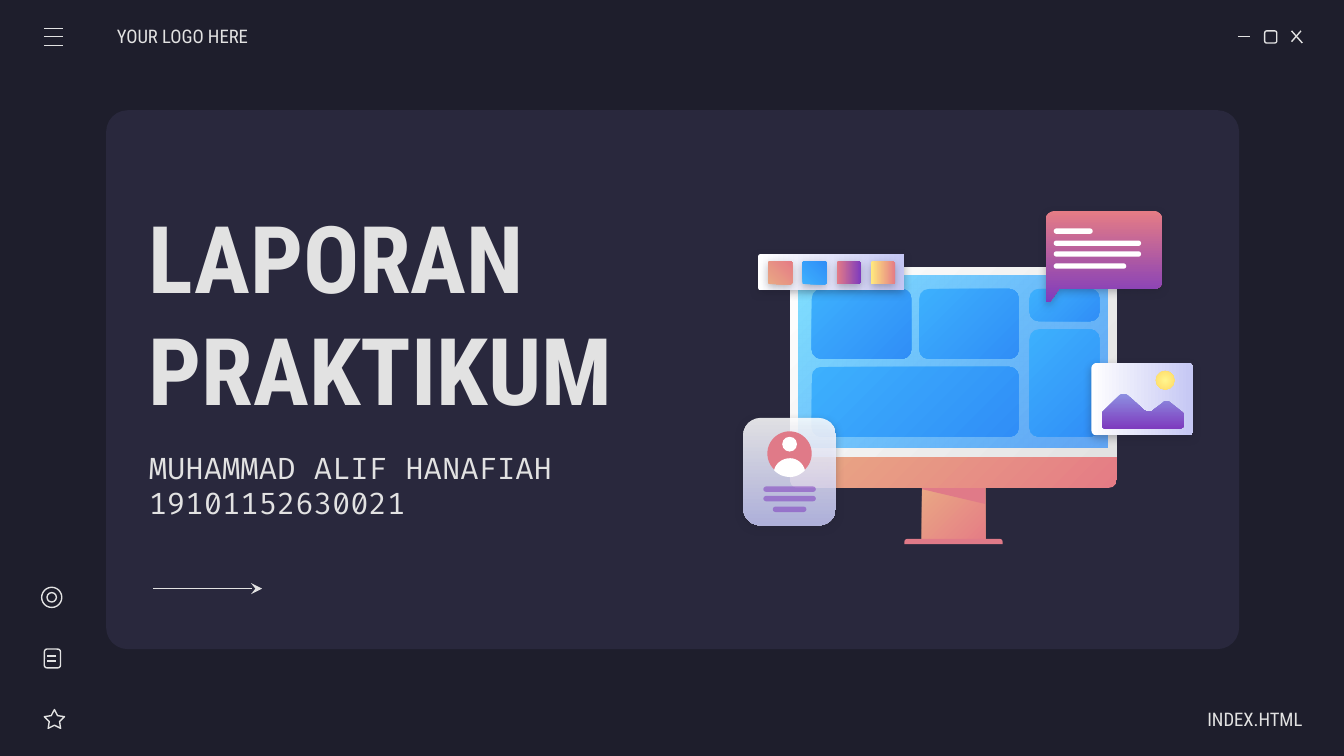
from lxml.etree import SubElement
from pptx import Presentation
from pptx.dml.color import RGBColor
from pptx.enum.shapes import MSO_CONNECTOR as Connector, MSO_SHAPE as Preset
from pptx.enum.text import MSO_ANCHOR as Anchor, PP_ALIGN as Align
from pptx.oxml import parse_xml
from pptx.oxml.ns import nsdecls, qn
from pptx.util import Inches, Pt

DARK, CARD, LIGHT, WHITE = "1E1E2C", "29283D", "E2E2E2", "FFFFFF"
ROSE, PURPLE = "E07A88", "7E3BBE"
PEACH = ("E9A984", "E57C85")
BLUE = ("3DB0FD", "308EF7")
SUNSET = ("E57C85", PURPLE)
PAPER = (WHITE, "C5C7F4")


def color(value):
    return RGBColor.from_string(value)


def gradient(colors, angle=None, alphas=(100, 100)):
    """Two-stop gradient fill: linear, or radial when there is no angle."""
    stops = "".join(
        f'<a:gs pos="{position}"><a:srgbClr val="{value}"><a:alpha val="{alpha * 1000}"/></a:srgbClr></a:gs>'
        for position, value, alpha in zip((0, 100000), colors, alphas))
    if angle is None:
        way = '<a:path path="circle"><a:fillToRect l="50000" t="50000" r="50000" b="50000"/></a:path>'
    else:
        way = f'<a:lin ang="{angle * 60000}" scaled="0"/>'
    return f'<a:gradFill rotWithShape="1" {nsdecls("a")}><a:gsLst>{stops}</a:gsLst>{way}</a:gradFill>'


def bezier(start, segment, steps=8):
    x1, y1, x2, y2, x3, y3 = segment
    for step in range(1, steps + 1):
        t = step / steps
        weights = ((1 - t) ** 3, 3 * t * (1 - t) ** 2, 3 * t * t * (1 - t), t ** 3)
        yield (sum(w * x for w, x in zip(weights, (start[0], x1, x2, x3))),
               sum(w * y for w, y in zip(weights, (start[1], y1, y2, y3))))


class Painter:
    line_width = Pt(0.75)

    def __init__(self, slide):
        self.slide = slide
        self.shapes = slide.shapes

    def finish(self, shape, fill=None, line=None, shadow=False, alpha=100):
        properties = shape._element.spPr
        if fill and not fill.startswith("<"):
            shape.fill.solid()
            shape.fill.fore_color.rgb = color(fill)
            if alpha < 100:
                target = properties.find(qn("a:solidFill"))[0]
                SubElement(target, qn("a:alpha")).set("val", str(alpha * 1000))
        else:
            shape.fill.background()
            if fill:
                properties.replace(properties.find(qn("a:noFill")), parse_xml(fill))
        if line:
            shape.line.color.rgb = color(line)
            shape.line.width = self.line_width
        else:
            shape.line.fill.background()
        shape.shadow.inherit = False
        if shadow:
            properties.find(qn("a:effectLst")).append(parse_xml(
                f'<a:outerShdw {nsdecls("a")} blurRad="57150" dist="19050" dir="5400000" algn="bl" rotWithShape="0">'
                f'<a:srgbClr val="{DARK}"><a:alpha val="30000"/></a:srgbClr></a:outerShdw>'))
        return shape

    def preset(self, kind, left, top, width, height, adjust=None, rotation=0, **style):
        shape = self.shapes.add_shape(kind, *map(Inches, (left, top, width, height)))
        if adjust is not None:
            shape.adjustments[0] = adjust
        shape.rotation = rotation
        return self.finish(shape, **style)

    def rounded(self, left, top, width, height, adjust, **style):
        return self.preset(Preset.ROUNDED_RECTANGLE, left, top, width, height, adjust, **style)

    def outline(self, start, segments, **style):
        """Closed outline: pairs are corners, six numbers are a cubic curve."""
        points = [start]
        for segment in segments:
            points.extend([segment] if len(segment) == 2 else bezier(points[-1], segment))
        points = [(Inches(x), Inches(y)) for x, y in points]
        builder = self.shapes.build_freeform(*points[0])
        builder.add_line_segments(points[1:], close=True)
        return self.finish(builder.convert_to_shape(), **style)

    def line(self, x1, y1, x2, y2, arrow=False):
        connector = self.shapes.add_connector(Connector.STRAIGHT, *map(Inches, (x1, y1, x2, y2)))
        connector.line.color.rgb = color(LIGHT)
        connector.line.width = self.line_width
        if arrow:
            SubElement(connector.line._get_or_add_ln(), qn("a:tailEnd")).set("type", "stealth")
        SubElement(connector._element.spPr, qn("a:effectLst"))

    def text(self, left, top, width, height, words, size, font, bold=False,
             align=Align.LEFT, inset_left=0.1, inset_right=0.1):
        frame = self.shapes.add_textbox(*map(Inches, (left, top, width, height))).text_frame
        frame.word_wrap = True
        frame.vertical_anchor = Anchor.MIDDLE
        frame.margin_left, frame.margin_right = Inches(inset_left), Inches(inset_right)
        frame.margin_top = frame.margin_bottom = Inches(0.1)
        frame.text = words
        for paragraph in frame.paragraphs:
            paragraph.alignment = align
            for run in paragraph.runs:
                run.font.name, run.font.size, run.font.bold = font, Pt(size), bold
                run.font.color.rgb = color(LIGHT)


def draw_window(painter):
    painter.rounded(0.79, 0.82, 8.43, 4.01, 0.04, fill=CARD)
    # Window buttons
    painter.line(9.21, 0.27, 9.3, 0.27)
    painter.rounded(9.41, 0.23, 0.09, 0.09, 0.167, line=LIGHT)
    painter.line(9.61, 0.23, 9.69, 0.32)
    painter.line(9.68, 0.23, 9.61, 0.31)
    # Menu icon
    for y in (0.21, 0.27, 0.34):
        painter.line(0.33, y, 0.47, y)
    # Side icons
    painter.preset(Preset.STAR_5_POINT, 0.33, 5.28, 0.15, 0.14, 0.254, line=LIGHT)
    painter.rounded(0.33, 4.83, 0.12, 0.14, 0.167, line=LIGHT)
    for y in (4.88, 4.92):
        painter.line(0.35, y, 0.42, y)
    painter.preset(Preset.OVAL, 0.31, 4.37, 0.15, 0.15, line=LIGHT)
    painter.preset(Preset.OVAL, 0.35, 4.41, 0.07, 0.07, line=LIGHT)


def draw_texts(painter):
    condensed = "Roboto Condensed"
    painter.text(1.01, 3.38, 3.24, 0.46, "MUHAMMAD ALIF HANAFIAH\n19101152630021", 16, "Fira Code")
    painter.text(0.87, 0.12, 1.17, 0.3, "YOUR LOGO HERE", 10, condensed, inset_left=0)
    painter.text(1.01, 1.44, 4.47, 1.76, "LAPORAN PRAKTIKUM", 50, condensed, bold=True)
    painter.text(8.52, 5.2, 1.17, 0.3, "INDEX.HTML", 10, condensed, align=Align.RIGHT, inset_right=0)
    painter.line(1.14, 4.38, 1.95, 4.38, arrow=True)


def draw_monitor(painter):
    # Stand, chin, frame and screen
    top_rounded = Preset.ROUND_2_SAME_RECTANGLE
    painter.preset(Preset.RECTANGLE, 6.86, 3.61, 0.47, 0.43, fill=gradient(PEACH, 45))
    painter.preset(top_rounded, 6.73, 4.01, 0.73, 0.04, 0.5, fill=ROSE)
    painter.outline((6.86, 3.61), [(6.86, 3.64), (7.33, 3.75), (7.33, 3.61)], fill=ROSE)
    painter.preset(top_rounded, 5.88, 3.39, 2.43, 0.24, 0.25, rotation=180, fill=gradient(PEACH[::-1], 45))
    painter.preset(top_rounded, 5.88, 1.99, 2.43, 1.41, 0.04, fill=gradient((WHITE, LIGHT), 45))
    painter.preset(Preset.RECTANGLE, 5.94, 2.05, 2.3, 1.28,
                   fill=gradient(("80DFFF", "318FFA"), 45, (100, 72)))
    # Screen tiles, all with the same corner radius
    for left, top, width, height in ((6.04, 2.15, 0.74, 0.52), (6.04, 2.73, 1.54, 0.52),
                                     (6.84, 2.15, 0.74, 0.52), (7.66, 2.15, 0.52, 0.24),
                                     (7.66, 2.45, 0.52, 0.8)):
        painter.rounded(left, top, width, height, 0.07 / min(width, height), fill=gradient(BLUE, 45))


def draw_cards(painter):
    # Speech bubble
    painter.outline((7.85, 1.57), [
        (7.81, 1.57, 7.78, 1.6, 7.78, 1.64), (7.78, 2.24),
        (7.78, 2.25, 7.79, 2.25, 7.8, 2.25), (7.81, 2.25), (7.88, 2.15), (8.59, 2.15),
        (8.62, 2.15, 8.65, 2.12, 8.65, 2.09), (8.65, 1.64),
        (8.65, 1.6, 8.62, 1.57, 8.59, 1.57)], fill=gradient(SUNSET, 90), shadow=True)
    for top, width in ((1.7, 0.29), (1.79, 0.65), (1.87, 0.65), (1.96, 0.54)):
        painter.rounded(7.84, top, width, 0.04, 0.5, fill=WHITE)
    # Profile card
    painter.rounded(5.53, 3.11, 0.69, 0.8, 0.187, fill=gradient(PAPER, 90, (86, 86)), shadow=True)
    painter.preset(Preset.OVAL, 5.71, 3.21, 0.33, 0.33, fill=ROSE)
    painter.preset(Preset.OVAL, 5.82, 3.25, 0.11, 0.11, fill=WHITE)
    painter.outline((5.88, 3.41), [
        (5.82, 3.41, 5.77, 3.45, 5.76, 3.5), (5.79, 3.53, 5.83, 3.55, 5.88, 3.55),
        (5.92, 3.55, 5.96, 3.53, 5.99, 3.5), (5.98, 3.45, 5.93, 3.41, 5.88, 3.41)], fill=WHITE)
    for left, top, width in ((5.68, 3.62, 0.39), (5.68, 3.69, 0.39), (5.75, 3.77, 0.25)):
        painter.rounded(left, top, width, 0.04, 0.5, fill=PURPLE, alpha=54)
    # Landscape card
    painter.rounded(8.23, 2.59, 0.54, 0.76, 0.073, rotation=270, fill=gradient(PAPER, 90), shadow=True)
    painter.outline((8.36, 2.93), [
        (8.35, 2.93, 8.34, 2.93, 8.33, 2.94), (8.21, 3.06), (8.2, 3.07, 8.2, 3.07, 8.2, 3.08),
        (8.2, 3.16), (8.2, 3.18, 8.21, 3.19, 8.23, 3.19), (8.77, 3.19),
        (8.79, 3.19, 8.81, 3.18, 8.81, 3.16), (8.81, 3.09), (8.81, 3.08, 8.8, 3.07, 8.8, 3.07),
        (8.7, 2.99), (8.69, 2.99, 8.66, 2.98, 8.65, 3), (8.57, 3.06),
        (8.56, 3.06, 8.53, 3.07, 8.51, 3.05), (8.39, 2.94), (8.38, 2.93, 8.37, 2.93, 8.36, 2.93)],
        fill=gradient(("8D90E1", PURPLE), 90))
    painter.preset(Preset.OVAL, 8.6, 2.76, 0.14, 0.14, fill=gradient(("FFF68E", "FFD966")))
    # Colour palette
    painter.rounded(6.05, 1.48, 0.27, 1.09, 0.073, rotation=270, fill=gradient(PAPER, 90), shadow=True)
    swatches = ((PEACH, 45), (BLUE, 45), (SUNSET, 90), (("FFEA7D", "E57C85"), 90))
    for index, (colors, angle) in enumerate(swatches):
        painter.rounded(5.72 + index * 0.255, 1.94, 0.17, 0.18, 0.073, rotation=270,
                        fill=gradient(colors, angle), shadow=True)


def main():
    presentation = Presentation()
    presentation.slide_width = Inches(10)
    presentation.slide_height = presentation.slide_width * 9 // 16
    slide = presentation.slides.add_slide(presentation.slide_layouts[6])
    slide.background.fill.solid()
    slide.background.fill.fore_color.rgb = color(DARK)
    painter = Painter(slide)
    for draw in (draw_window, draw_texts, draw_monitor, draw_cards):
        draw(painter)
    presentation.save("out.pptx")


if __name__ == "__main__":
    main()
